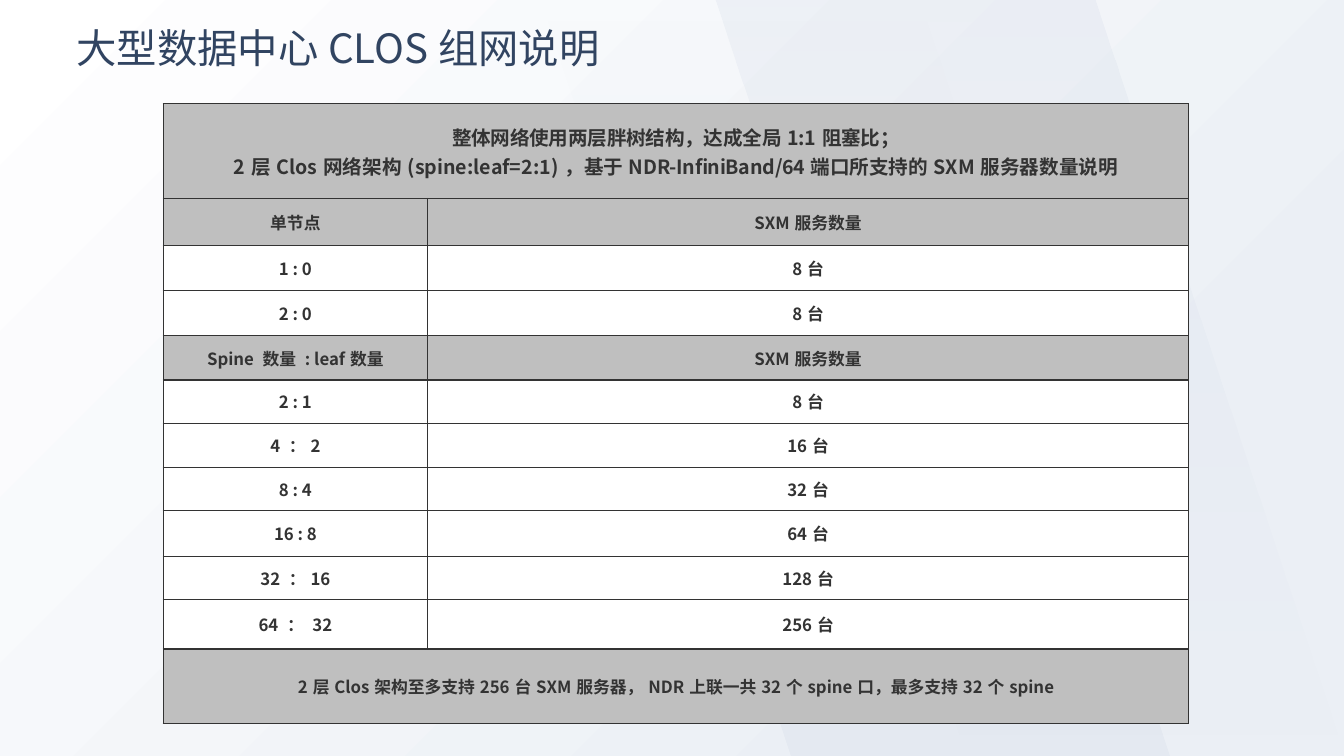
from lxml import etree
from pptx import Presentation
from pptx.dml.color import RGBColor
from pptx.enum.shapes import MSO_SHAPE
from pptx.enum.text import MSO_ANCHOR, MSO_AUTO_SIZE, PP_ALIGN
from pptx.oxml.ns import qn
from pptx.util import Inches, Pt

MIDDLE = MSO_ANCHOR.MIDDLE
LEFT, CENTER = PP_ALIGN.LEFT, PP_ALIGN.CENTER
RECTANGLE = MSO_SHAPE.RECTANGLE
NO_AUTO_SIZE = MSO_AUTO_SIZE.NONE
FONT = "Noto Sans CJK SC"
COLORS = {
    "white": "FFFFFF", "pale": "EBEFF5", "band": "CBD5E5",
    "title": "314461", "ink": "333333", "gray": "BFBFBF",
}
WIDTH, HEIGHT = 13.33, 7.5


def write_text(frame, lines, size=12, color="ink", bold=True, alignment=CENTER):
    """Each line is a list of (text, letter spacing in points) runs."""
    for index, line in enumerate(lines):
        paragraph = frame.paragraphs[0] if index == 0 else frame.add_paragraph()
        paragraph.alignment = alignment
        for text, spacing in line:
            run = paragraph.add_run()
            run.text = text
            run.font.size = Pt(size)
            run.font.bold = bold
            run.font.color.rgb = RGBColor.from_string(COLORS[color])
            run.font.name = FONT
            properties = run.font._element
            properties.set("spc", str(round(spacing * 100)))
            etree.SubElement(properties, qn("a:ea"), typeface=FONT)


def fill_gradient(shape, angle, stops):
    """Each stop is (position, color name, opacity in percent)."""
    shape.shadow.inherit = False
    shape.line.fill.background()
    shape.fill.gradient()
    shape.fill.gradient_angle = angle
    for stop, (position, color, opacity) in zip(shape.fill.gradient_stops, stops):
        stop.position = position
        stop.color.rgb = RGBColor.from_string(COLORS[color])
        if opacity < 100:
            for element in stop._gs.iter(qn("a:srgbClr")):
                etree.SubElement(element, qn("a:alpha"), val=str(opacity * 1000))


presentation = Presentation()
presentation.slide_width = Inches(WIDTH)
presentation.slide_height = Inches(HEIGHT)
slide = presentation.slides.add_slide(presentation.slide_layouts[5])
shapes = slide.shapes

# Background gradient and two slanted bands
background = shapes.add_shape(RECTANGLE, 0, 0, Inches(WIDTH), Inches(HEIGHT))
fill_gradient(background, 315, [(0, "white", 100), (0.79, "pale", 100)])
BAND_POINTS = [(5.36, 0), (9.12, 0), (11.6, HEIGHT), (7.84, HEIGHT)]
for offset, angle in [(0, 90), (1.74, 270)]:
    points = [(Inches(min(x + offset, WIDTH)), Inches(y)) for x, y in BAND_POINTS]
    builder = shapes.build_freeform(*points[0])
    builder.add_line_segments(points[1:], close=True)
    fill_gradient(builder.convert_to_shape(), angle,
                  [(0, "band", 20), (1, "band", 0)])

# Table
COLUMN_WIDTHS = [2.62, 7.55]
ROWS = [  # height, fill, cell texts
    (0.94, "gray", []),
    (0.47, "gray", ["单节点", "SXM服务数量"]),
    (0.44, "white", ["1 : 0", "8台"]),
    (0.45, "white", ["2 : 0", "8台"]),
    (0.44, "gray", ["Spine 数量 : leaf数量", "SXM服务数量"]),
    (0.43, "white", ["2 : 1", "8台"]),
    (0.44, "white", ["4 ：2", "16台"]),
    (0.43, "white", ["8 : 4", "32台"]),
    (0.45, "white", ["16 : 8", "64台"]),
    (0.43, "white", ["32 ：16", "128台"]),
    (0.49, "white", ["64 ： 32", "256台"]),
    (0.74, "gray", ["2层Clos架构至多支持256台SXM服务器，NDR上联一共32个spine口，最多支持32个spine"]),
]
HEADING = [
    [("整体网络使用两层胖树结构，达成全局1:1阻塞比；", -0.2)],
    [("2层Clos网络架构(spine:leaf=2:1)，", 0),
     ("基于NDR-InfiniBand/64端口所支持", -0.2),
     ("的SXM服务器数量说明", 0)],
]
table_frame = shapes.add_table(
    len(ROWS), len(COLUMN_WIDTHS), Inches(1.62), Inches(1.03),
    Inches(sum(COLUMN_WIDTHS)), Inches(sum(row[0] for row in ROWS)))
table = table_frame.table
table.first_row = False
table.horz_banding = False
for column, width in zip(table.columns, COLUMN_WIDTHS):
    column.width = Inches(width)

for row_index, (height, fill, texts) in enumerate(ROWS):
    table.rows[row_index].height = Inches(height)
    for cell in table.rows[row_index].cells:
        cell.vertical_anchor = MIDDLE
        cell.margin_left = cell.margin_right = Inches(0.13)
        cell.margin_top = cell.margin_bottom = Inches(0.07)
        for side in ("a:lnL", "a:lnR", "a:lnT", "a:lnB"):
            border = etree.SubElement(cell._tc.get_or_add_tcPr(), qn(side),
                                      w=str(Pt(1)))
            solid = etree.SubElement(border, qn("a:solidFill"))
            etree.SubElement(solid, qn("a:srgbClr"), val=COLORS["ink"])
        cell.fill.solid()
        cell.fill.fore_color.rgb = RGBColor.from_string(COLORS[fill])
    if len(texts) < 2:
        table.cell(row_index, 0).merge(table.cell(row_index, 1))
    for column_index, text in enumerate(texts):
        write_text(table.cell(row_index, column_index).text_frame, [[(text, 0)]])
write_text(table.cell(0, 0).text_frame, HEADING, size=14)

# Title, brought in front of the background
title = shapes.title
title.left, title.top = Inches(0.76), Inches(0.07)
title.width, title.height = Inches(11.81), Inches(0.79)
frame = title.text_frame
frame.margin_left = frame.margin_right = 0
frame.margin_top = frame.margin_bottom = 0
frame.word_wrap = True
frame.auto_size = NO_AUTO_SIZE
frame.vertical_anchor = MIDDLE
write_text(frame, [[("大型数据中心CLOS组网说明", 0)]], size=28.8,
           color="title", bold=False, alignment=LEFT)
shapes._spTree.append(title._element)

presentation.save("out.pptx")
